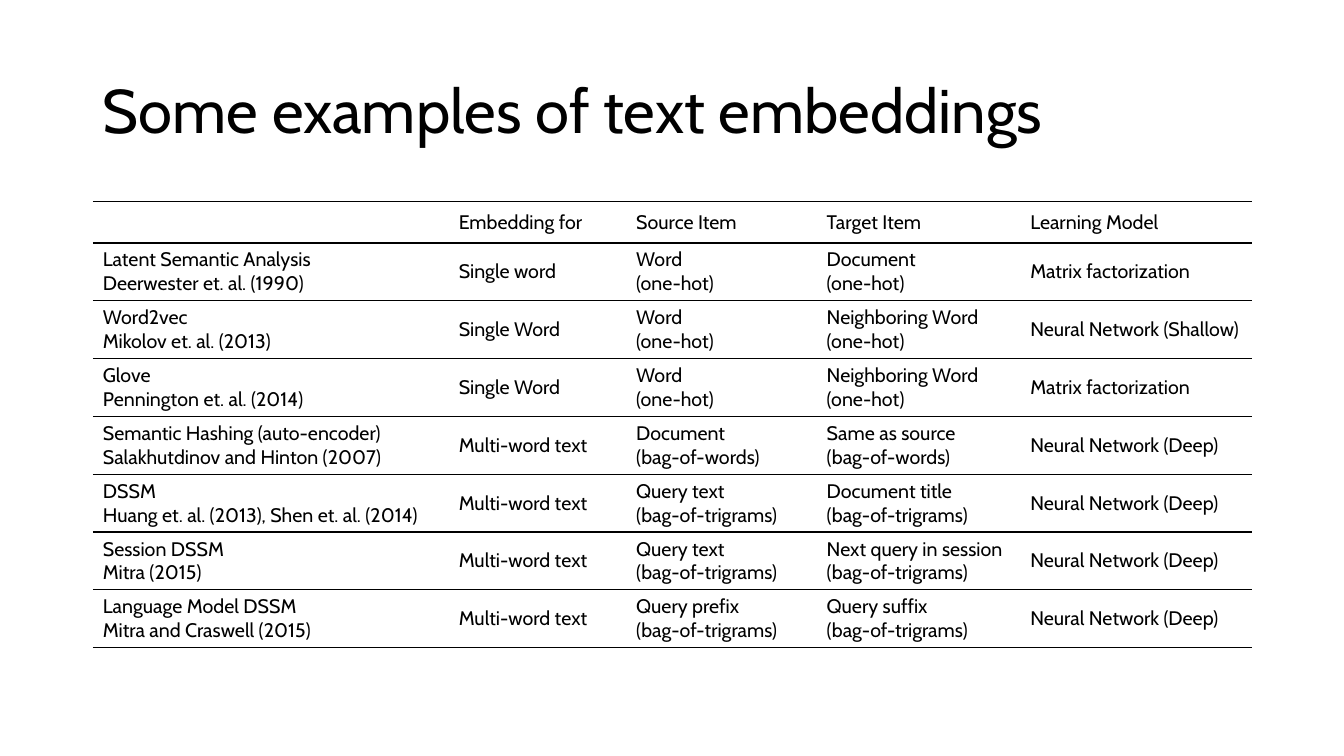
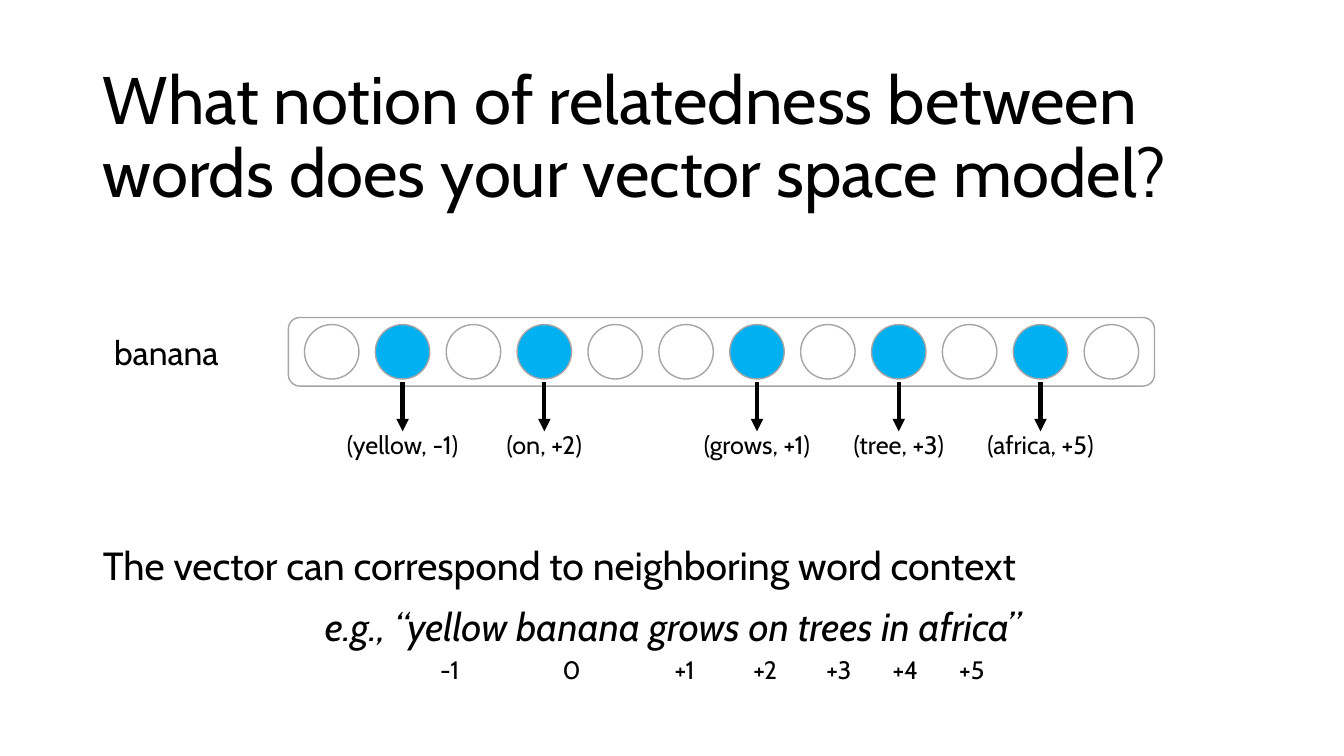
from lxml import etree
from pptx import Presentation
from pptx.dml.color import RGBColor
from pptx.enum import shapes, text
from pptx.oxml import ns
from pptx.util import Inches, Pt

# Shared look
COLORS = {"ink": "000000", "paper": "FFFFFF", "active": "00B0F0", "outline": "A5A5A5"}
FONT = "Cabin"
CONTENT_LEFT, CONTENT_WIDTH = 0.92, 11.5

# Slide 1 content: each cell is a tuple of lines
TABLE_TITLE = "Some examples of text embeddings"
COLUMN_WIDTHS = [3.53, 1.76, 1.89, 2.02, 2.3]
HEADER_HEIGHT, ROW_HEIGHT = 0.41, 0.57
ONE_HOT, WORDS, TRIGRAMS = "(one-hot)", "(bag-of-words)", "(bag-of-trigrams)"
SINGLE, MULTI = ("Single Word",), ("Multi-word text",)
FACTORIZATION, DEEP = ("Matrix factorization",), ("Neural Network (Deep)",)
ROWS = [
    [(), ("Embedding for",), ("Source Item",), ("Target Item",), ("Learning Model",)],
    [("Latent Semantic Analysis", "Deerwester et. al. (1990)"), ("Single word",),
     ("Word", ONE_HOT), ("Document", ONE_HOT), FACTORIZATION],
    [("Word2vec", "Mikolov et. al. (2013)"), SINGLE,
     ("Word", ONE_HOT), ("Neighboring Word", ONE_HOT), ("Neural Network (Shallow)",)],
    [("Glove", "Pennington et. al. (2014)"), SINGLE,
     ("Word", ONE_HOT), ("Neighboring Word", ONE_HOT), FACTORIZATION],
    [("Semantic Hashing (auto-encoder)", "Salakhutdinov and Hinton (2007)"), MULTI,
     ("Document", WORDS), ("Same as source", WORDS), DEEP],
    [("DSSM", "Huang et. al. (2013), Shen et. al. (2014)"), MULTI,
     ("Query text", TRIGRAMS), ("Document title", TRIGRAMS), DEEP],
    [("Session DSSM", "Mitra (2015)"), MULTI,
     ("Query text", TRIGRAMS), ("Next query in session", TRIGRAMS), DEEP],
    [("Language Model DSSM", "Mitra and Craswell (2015)"), MULTI,
     ("Query prefix", TRIGRAMS), ("Query suffix", TRIGRAMS), DEEP],
]

# Slide 2 content
VECTOR_TITLE = "What notion of relatedness between words does your vector space model?"
VECTOR_WORD = "banana"
VECTOR_SIZE = 12
ACTIVE_FEATURES = {1: "(yellow, -1)", 3: "(on, +2)", 6: "(grows, +1)",
                   8: "(tree, +3)", 10: "(africa, +5)"}
EXPLANATION = "The vector can correspond to neighboring word context"
EXAMPLE = "e.g., “yellow banana grows on trees in africa”"
# Offset label and the centre of the word above it
WORD_OFFSETS = [("-1", 4.46), ("0", 5.67), ("+1", 6.79), ("+2", 7.59),
                ("+3", 8.32), ("+4", 8.98), ("+5", 9.64)]
CIRCLE_LEFT, CIRCLE_TOP, CIRCLE_SIZE, CIRCLE_PITCH = 3.02, 3.22, 0.54, 0.703
ARROW_TOP, ARROW_BOTTOM = 3.79, 4.28


def color(name):
    return RGBColor.from_string(COLORS[name])


def box(left, top, width, height):
    return [Inches(value) for value in (left, top, width, height)]


def place(shape, *position):
    for name, value in zip(("left", "top", "width", "height"), box(*position)):
        setattr(shape, name, value)


def write(paragraph, words, size, italic=None, **paragraph_format):
    for name, value in paragraph_format.items():
        setattr(paragraph, name, value)
    run = paragraph.add_run()
    run.text = words
    for name, value in {"name": FONT, "size": Pt(size), "italic": italic}.items():
        setattr(run.font, name, value)
    run.font.color.rgb = color("ink")


def add_titled_slide(presentation, layout, title, size, height):
    slide = presentation.slides.add_slide(presentation.slide_layouts.get_by_name(layout))
    place(slide.shapes.title, CONTENT_LEFT, 0.4, CONTENT_WIDTH, height)
    frame = slide.shapes.title.text_frame
    frame.auto_size = text.MSO_AUTO_SIZE.NONE
    frame.vertical_anchor = text.MSO_ANCHOR.MIDDLE
    write(frame.paragraphs[0], title, size, alignment=text.PP_ALIGN.LEFT, line_spacing=0.9)
    return slide


def add_label(slide, words, center, top, size):
    width, height = 1.36, size / 60 + 0.1
    label = slide.shapes.add_textbox(*box(center - width / 2, top, width, height))
    label.text_frame.word_wrap = False
    write(label.text_frame.paragraphs[0], words, size, alignment=text.PP_ALIGN.CENTER)


def add_outlined(slide, preset, fill, *position):
    shape = slide.shapes.add_shape(preset, *box(*position))
    shape.shadow.inherit = False
    shape.fill.solid()
    shape.fill.fore_color.rgb = color(fill)
    shape.line.color.rgb = color("outline")
    shape.line.width = Pt(1)


def add_down_arrow(slide, x):
    arrow = slide.shapes.add_connector(
        shapes.MSO_CONNECTOR.STRAIGHT, *box(x, ARROW_TOP, x, ARROW_BOTTOM))
    arrow.line.color.rgb = color("ink")
    arrow.line.width = Pt(3)
    etree.SubElement(arrow.line._get_or_add_ln(), ns.qn("a:tailEnd"), type="triangle")
    etree.SubElement(arrow._element.spPr, ns.qn("a:effectLst"))


def rule_cell(cell):
    """Black rules above and below, none at the sides."""
    properties = cell._tc.get_or_add_tcPr()
    for index, side in enumerate(("lnL", "lnR", "lnT", "lnB")):
        line = etree.Element(ns.qn(f"a:{side}"), w=str(Pt(1)))
        if side in ("lnT", "lnB"):
            fill = etree.SubElement(line, ns.qn("a:solidFill"))
            etree.SubElement(fill, ns.qn("a:srgbClr"), val=COLORS["ink"])
        else:
            etree.SubElement(line, ns.qn("a:noFill"))
        properties.insert(index, line)


def build_table_slide(presentation):
    slide = add_titled_slide(presentation, "Title Only", TABLE_TITLE, 44, 1.45)
    heights = [HEADER_HEIGHT] + [ROW_HEIGHT] * (len(ROWS) - 1)
    table = slide.shapes.add_table(
        len(ROWS), len(COLUMN_WIDTHS),
        *box(CONTENT_LEFT, 2, CONTENT_WIDTH, sum(heights))).table
    table.first_row = table.horz_banding = False
    for column, width in zip(table.columns, COLUMN_WIDTHS):
        column.width = Inches(width)
    for row, height, contents in zip(table.rows, heights, ROWS):
        row.height = Inches(height)
        for cell, lines in zip(row.cells, contents):
            cell.fill.background()
            cell.vertical_anchor = text.MSO_ANCHOR.MIDDLE
            rule_cell(cell)
            frame = cell.text_frame
            for index, words in enumerate(lines):
                paragraph = frame.add_paragraph() if index else frame.paragraphs[0]
                write(paragraph, words, 14)


def build_vector_slide(presentation):
    slide = add_titled_slide(presentation, "Title and Content", VECTOR_TITLE, 48, 1.96)

    # Explanation and example sentence
    body = slide.placeholders[1]
    place(body, CONTENT_LEFT, 5.32, CONTENT_WIDTH, 1.44)
    frame = body.text_frame
    frame.auto_size = text.MSO_AUTO_SIZE.NONE
    paragraphs = [frame.paragraphs[0], frame.add_paragraph()]
    for paragraph in paragraphs:
        properties = paragraph._p.get_or_add_pPr()
        properties.set("marL", "0")
        properties.set("indent", "0")
        etree.SubElement(properties, ns.qn("a:buNone"))
    write(paragraphs[0], EXPLANATION, 28, space_before=Pt(0))
    write(paragraphs[1], EXAMPLE, 28, italic=True,
          alignment=text.PP_ALIGN.CENTER, space_before=Pt(10))
    for words, center in WORD_OFFSETS:
        add_label(slide, words, center, 6.44, 18)

    # Vector with its active features
    add_label(slide, VECTOR_WORD, 1.65, 3.24, 24)
    add_outlined(slide, shapes.MSO_SHAPE.ROUNDED_RECTANGLE, "paper", 2.86, 3.15, 8.59, 0.68)
    for index in range(VECTOR_SIZE):
        left = CIRCLE_LEFT + index * CIRCLE_PITCH
        fill = "active" if index in ACTIVE_FEATURES else "paper"
        add_outlined(slide, shapes.MSO_SHAPE.OVAL, fill,
                     left, CIRCLE_TOP, CIRCLE_SIZE, CIRCLE_SIZE)
        if index in ACTIVE_FEATURES:
            center = left + CIRCLE_SIZE / 2
            add_down_arrow(slide, center)
            add_label(slide, ACTIVE_FEATURES[index], center, 4.21, 18)


def main():
    presentation = Presentation()
    presentation.slide_width, presentation.slide_height = Inches(13.33), Inches(7.5)
    build_table_slide(presentation)
    build_vector_slide(presentation)
    presentation.save("out.pptx")


if __name__ == "__main__":
    main()
